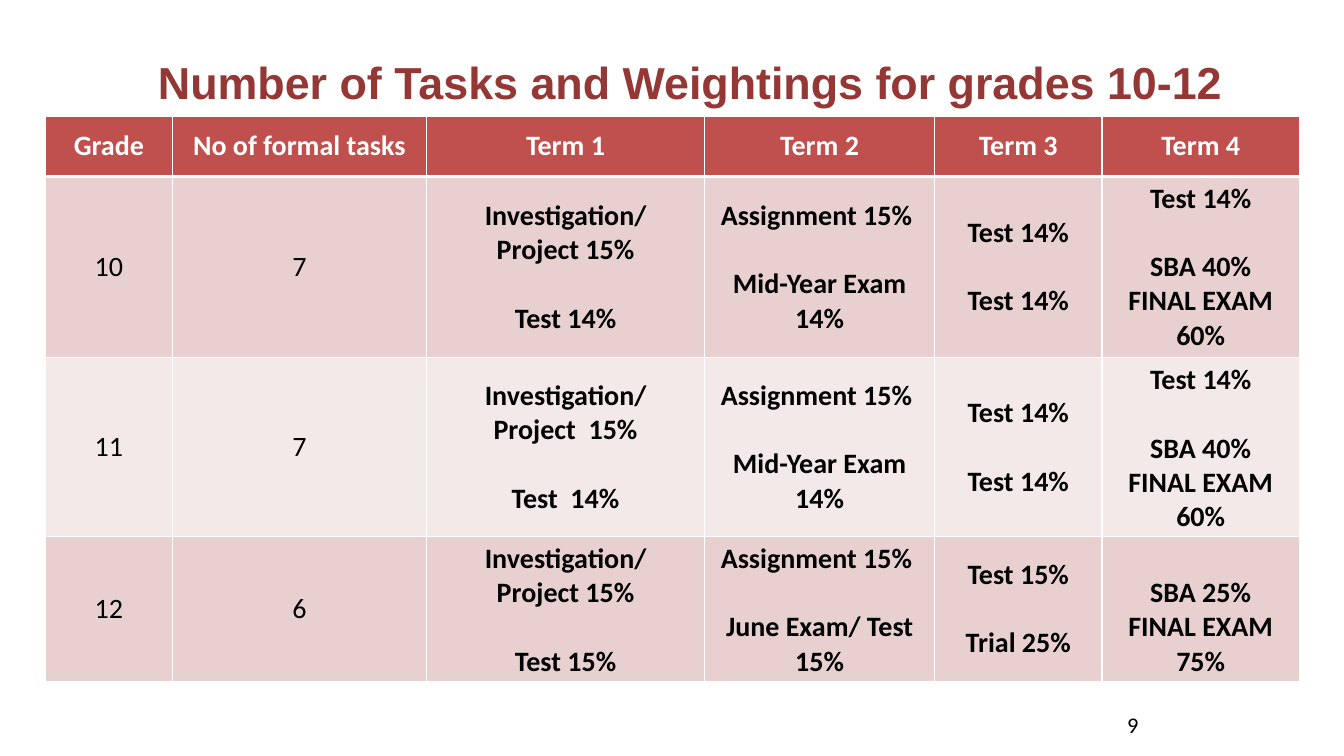
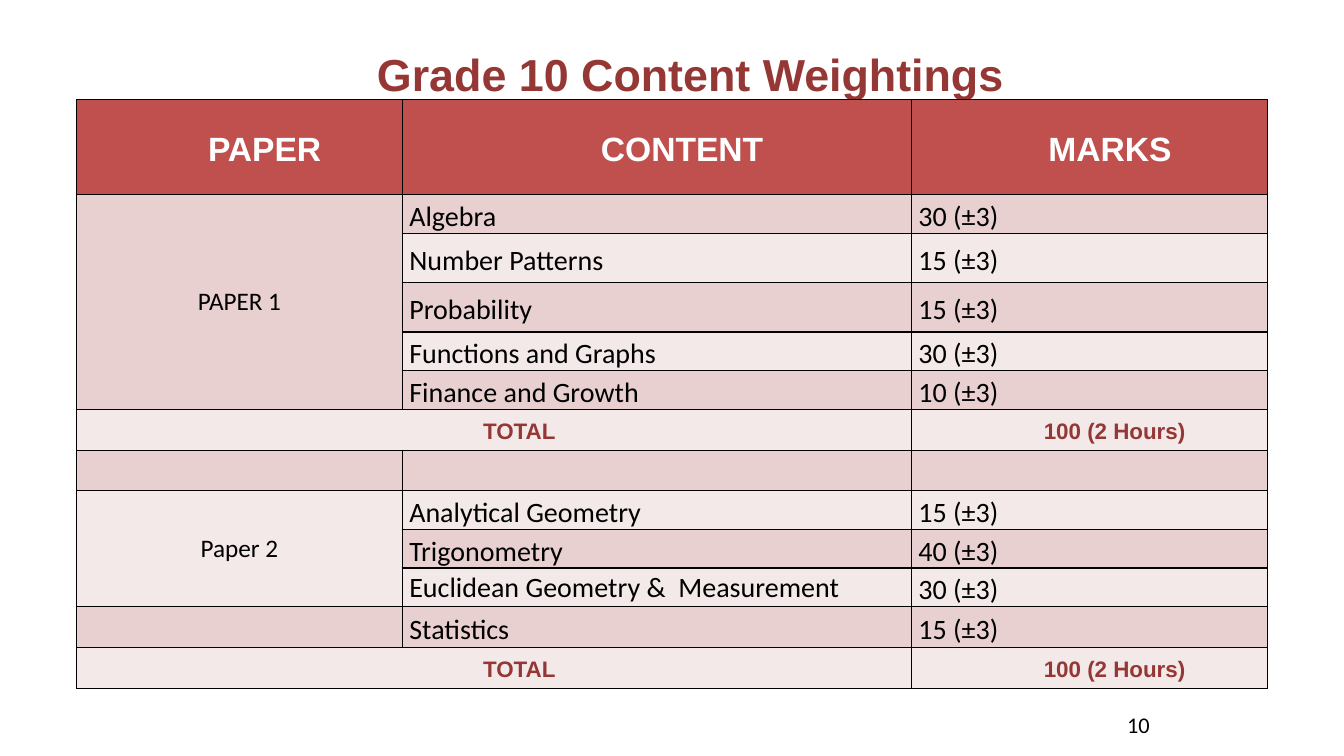
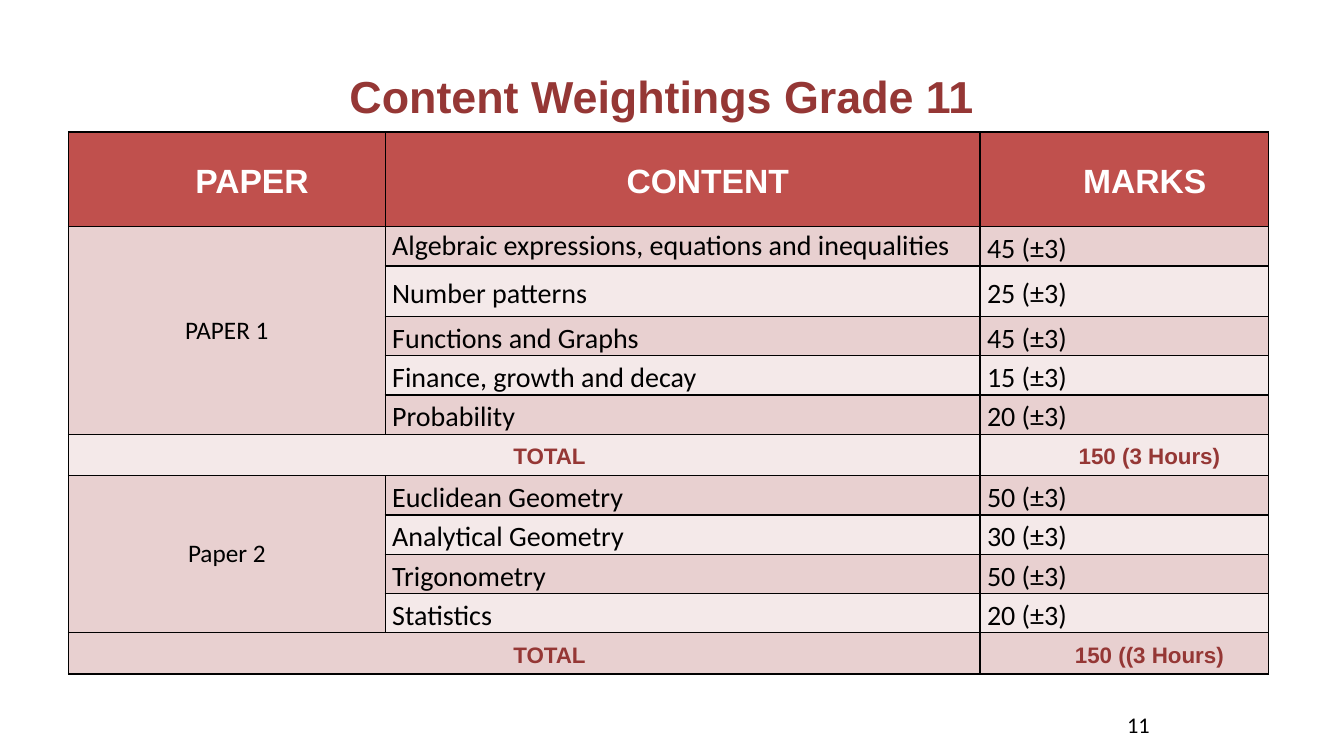
from dataclasses import dataclass

import pptx
import pptx.util
import pptx.dml.color
import pptx.enum.text
import pptx.oxml
import pptx.oxml.ns
from lxml import etree

Pt = pptx.util.Pt
RGBColor = pptx.dml.color.RGBColor
ALIGN = pptx.enum.text.PP_ALIGN
MIDDLE = pptx.enum.text.MSO_ANCHOR.MIDDLE

MAROON = RGBColor(0x95, 0x37, 0x35)
RED = RGBColor(0xC0, 0x50, 0x4D)
BANDS = (RGBColor(0xF4, 0xE9, 0xE9), RGBColor(0xE8, 0xD0, 0xD0))
WHITE = RGBColor(0xFF, 0xFF, 0xFF)
BLACK = RGBColor(0, 0, 0)

COLUMNS, ROWS = 13.33, 7.5  # one grid unit is one inch
FIRST_PAGE = 9
LINE_GAP = 24.4  # height of one 20 pt Calibri line, in points


@dataclass(frozen=True)
class Style:
    size: float
    font: str = "Calibri"
    color: RGBColor = BLACK
    bold: bool = False
    align: ALIGN = ALIGN.CENTER
    indent: float = 0
    spacing: float = 1
    after: float = 0


TITLE = Style(32, "Arial", MAROON, True, indent=0.5, spacing=1.15, after=6)
PAGE = Style(16, align=ALIGN.LEFT)
TERM_HEAD = Style(20, color=WHITE, bold=True)
TERM_COUNT = Style(20)
TERM_TASK = Style(20, bold=True)
HEAD = Style(24, "Arial", WHITE, True, indent=0.5, spacing=1.15, after=6)
PAPER = Style(18)
TOPIC = Style(20, align=ALIGN.LEFT, spacing=1.15, after=10)
LONG_TOPIC = Style(20, align=ALIGN.LEFT)
TOTAL = Style(16, "Arial", MAROON, True, indent=0.5, spacing=1.15, after=6)

TERM_ROWS = [
    ("Grade", "No of formal tasks", "Term 1", "Term 2", "Term 3", "Term 4"),
    ("10", "7", "Investigation/\nProject 15%\n\nTest 14%",
     "Assignment 15% \n\nMid-Year Exam 14%", "Test 14%\n\nTest 14%",
     "Test 14%\n\nSBA 40%\nFINAL EXAM 60%"),
    ("11", "7", "Investigation/\nProject  15%\n\nTest  14%",
     "Assignment 15% \n\nMid-Year Exam 14%", "Test 14%\n\nTest 14%",
     "Test 14%\n\nSBA 40%\nFINAL EXAM 60%"),
    ("12", "6", "Investigation/\nProject 15%\n\nTest 15%",
     "Assignment 15% \n\nJune Exam/ Test 15%", "Test 15%\n\nTrial 25%",
     "\nSBA 25%\nFINAL EXAM 75%"),
]

# None marks a cell covered by the one above it or to its left.
GRADE_10 = [
    ("PAPER 1", "Algebra", 30),
    (None, "Number Patterns", 15),
    (None, "Probability", 15),
    (None, "Functions and Graphs", 30),
    (None, "Finance and Growth", 10),
    ("TOTAL", None, "100 (2 Hours)"),
    ("", "", ""),
    ("Paper 2", "Analytical Geometry", 15),
    (None, "Trigonometry", 40),
    (None, "Euclidean Geometry &  Measurement", 30),
    ("", "Statistics", 15),
    ("TOTAL", None, "100 (2 Hours)"),
]
GRADE_11 = [
    ("PAPER 1", "Algebraic expressions, equations and inequalities", 45),
    (None, "Number patterns", 25),
    (None, "Functions and Graphs", 45),
    (None, "Finance, growth and decay", 15),
    (None, "Probability", 20),
    ("TOTAL", None, "150 (3 Hours)"),
    ("Paper 2", "Euclidean Geometry", 50),
    (None, "Analytical Geometry", 30),
    (None, "Trigonometry", 50),
    (None, "Statistics", 20),
    ("TOTAL", None, "150 ((3 Hours)"),
]


def grid(*units):
    return [pptx.util.Inches(u) for u in units]


def format_paragraph(p, style):
    p.alignment = style.align
    p.line_spacing = style.spacing
    p.space_after = Pt(style.after)
    if style.indent:
        pPr = p._p.get_or_add_pPr()
        pPr.set("marL", str(pptx.util.Inches(style.indent)))
        pPr.set("indent", "0")
    for r in p.runs:
        r.font.size = Pt(style.size)
        r.font.name = style.font
        r.font.bold = style.bold
        r.font.color.rgb = style.color


def add_title(slide, text, box):
    tf = slide.shapes.add_textbox(*grid(*box)).text_frame
    tf.word_wrap = True
    tf.vertical_anchor = MIDDLE
    tf.text = text
    format_paragraph(tf.paragraphs[0], TITLE)


def add_page_number(slide, number):
    width = 0.32 if number < 10 else 0.43
    tf = slide.shapes.add_textbox(*grid(11.08, 7.01, width, 0.37)).text_frame
    tf.word_wrap = False
    tf.auto_size = pptx.enum.text.MSO_AUTO_SIZE.SHAPE_TO_FIT_TEXT
    tf.text = str(number)
    format_paragraph(tf.paragraphs[0], PAGE)


def set_borders(cell, color, bottom=1):
    tcPr = cell._tc.get_or_add_tcPr()
    for side, width in (("L", 1), ("R", 1), ("T", 1), ("B", bottom)):
        ln = etree.SubElement(tcPr, pptx.oxml.ns.qn(f"a:ln{side}"), w=str(Pt(width)))
        fill = etree.SubElement(ln, pptx.oxml.ns.qn("a:solidFill"))
        etree.SubElement(fill, pptx.oxml.ns.qn("a:srgbClr"), val=str(color))


def add_grid_table(slide, left, top, widths, heights, line, header_line=1):
    """Add an empty table with a red header and two-tone bands."""
    box = grid(left, top, sum(widths), sum(heights))
    table = slide.shapes.add_table(len(heights), len(widths), *box).table
    table.horz_banding = False
    for column, width in zip(table.columns, grid(*widths)):
        column.width = width
    for i, (row, height) in enumerate(zip(table.rows, grid(*heights))):
        row.height = height
        for cell in row.cells:
            # The header's lower edge is also the first band's upper edge.
            set_borders(cell, line, 1 if i else header_line)
            cell.fill.solid()
            cell.fill.fore_color.rgb = BANDS[i % 2] if i else RED
            cell.vertical_anchor = MIDDLE
    return table


def write_cell(cell, text, style):
    """Write one paragraph a line; an empty line becomes a gap."""
    if text.startswith("\n"):
        cell.margin_top = Pt(LINE_GAP + 3.6)
        text = text[1:]
    gap, lines = False, []
    for line in text.split("\n"):
        if line:
            lines.append((line, gap))
        gap = not line
    cell.text_frame.text = "\n".join(line for line, _ in lines)
    for p, (_, gap) in zip(cell.text_frame.paragraphs, lines):
        format_paragraph(p, style)
        if gap:
            p.space_before = Pt(LINE_GAP)


def add_term_table(slide, left, top):
    table = add_grid_table(slide, left, top, [1.26, 2.52, 2.76, 2.28, 1.66, 1.96],
                           [0.6, 1.8, 1.68, 1.36], WHITE, header_line=3)
    for i, row in enumerate(TERM_ROWS):
        for j, text in enumerate(row):
            style = TERM_HEAD if i == 0 else TERM_COUNT if j < 2 else TERM_TASK
            write_cell(table.cell(i, j), text, style)


def write_marks_cell(cell, text, style):
    if not text:
        return
    if style is not TOTAL:
        cell.margin_left = cell.margin_right = pptx.util.Inches(0.07)
        cell.margin_top = cell.margin_bottom = 0
    write_cell(cell, text, style)


def add_marks_table(slide, left, top, widths, heights, rows):
    table = add_grid_table(slide, left, top, widths, heights, BLACK)
    for j, text in enumerate(("PAPER", "CONTENT", "MARKS ")):
        write_marks_cell(table.cell(0, j), text, HEAD)
    for i, (paper, topic, marks) in enumerate(rows, 1):
        is_total = topic is None
        if paper is not None:
            end = i
            while end < len(rows) and rows[end][0] is None:
                end += 1
            if is_total or end > i:
                table.cell(i, 0).merge(table.cell(end, int(is_total)))
            write_marks_cell(table.cell(i, 0), paper, TOTAL if is_total else PAPER)
        if not is_total:
            long = len(topic) > 30
            write_marks_cell(table.cell(i, 1), topic, LONG_TOPIC if long else TOPIC)
        if isinstance(marks, int):
            marks = f"{marks} (±3)"
        write_marks_cell(table.cell(i, 2), marks, TOTAL if is_total else TOPIC)


def main():
    prs = pptx.Presentation()
    prs.slide_width, prs.slide_height = grid(COLUMNS, ROWS)
    titles = [
        ("Number of Tasks and Weightings for grades 10-12", (0.6, 0.14, 12, 1.25)),
        ("Grade 10 Content Weightings", (2.1, 0.14, 9, 1.09)),
        ("Content Weightings Grade 11", (0.68, 0.36, 11.27, 1.09)),
    ]
    slides = []
    for number, (text, box) in enumerate(titles, FIRST_PAGE):
        slide = prs.slides.add_slide(prs.slide_layouts[6])
        add_title(slide, text, box)
        slides.append(slide)

    add_term_table(slides[0], 0.45, 1.15)
    add_marks_table(slides[1], 0.76, 0.99, [3.23, 5.05, 3.53],
                    [0.94, 0.37, 0.49, 0.49] + [0.37] * 9, GRADE_10)
    add_marks_table(slides[2], 0.68, 1.31, [3.14, 5.9, 2.86],
                    [0.94, 0.39, 0.5] + [0.39] * 3 + [0.41] + [0.39] * 4 + [0.41],
                    GRADE_11)

    for number, slide in enumerate(slides, FIRST_PAGE):
        add_page_number(slide, number)
    prs.save("out.pptx")


if __name__ == "__main__":
    main()
